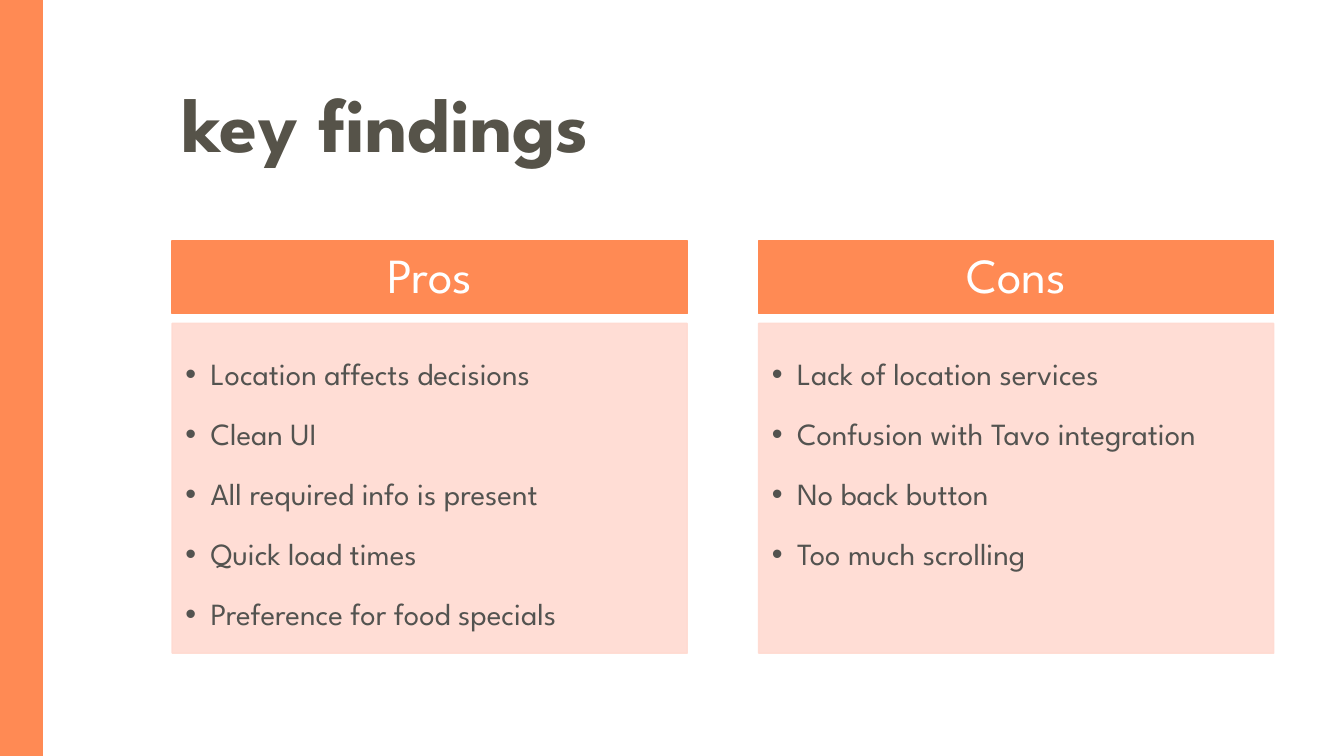
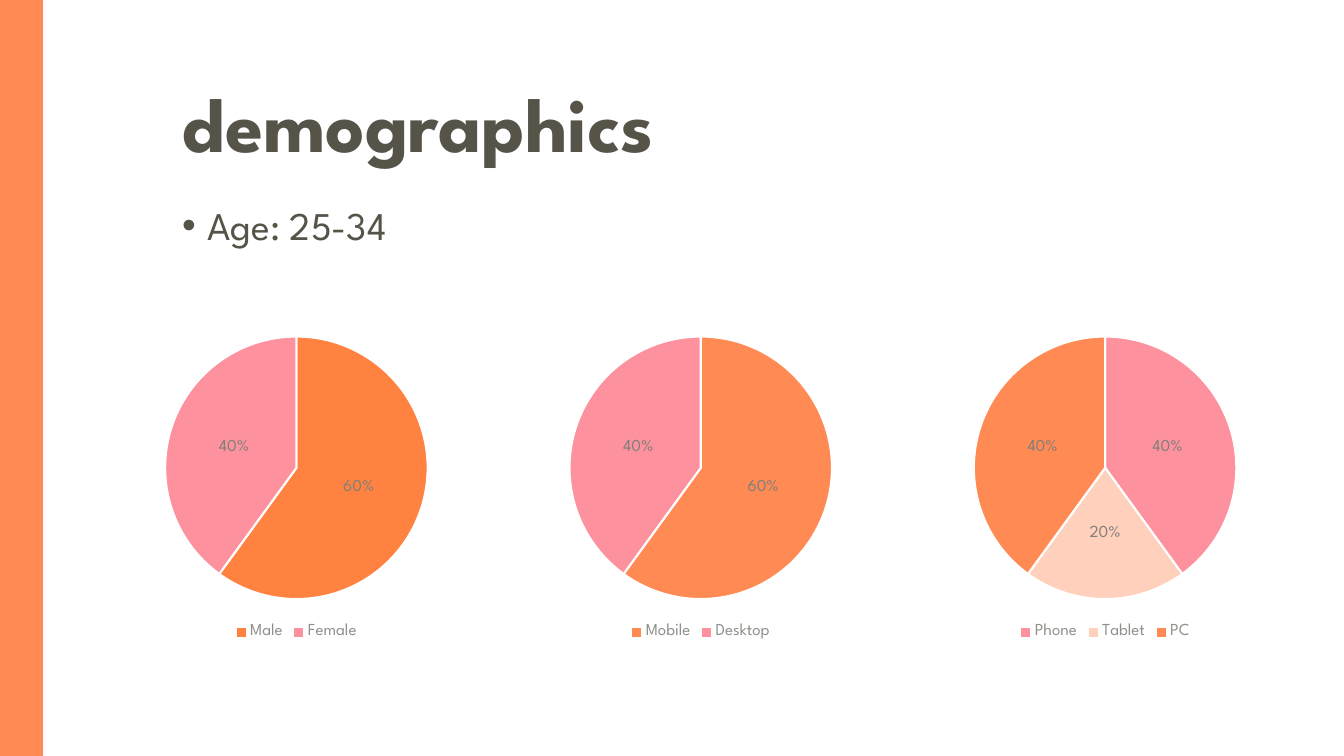
from dataclasses import dataclass

from lxml.etree import SubElement
from pptx import Presentation
from pptx.chart.data import CategoryChartData
from pptx.dml.color import RGBColor
from pptx.enum.chart import XL_CHART_TYPE as Chart
from pptx.enum.chart import XL_LABEL_POSITION as Spot
from pptx.enum.chart import XL_LEGEND_POSITION as Side
from pptx.enum.shapes import MSO_SHAPE as Shape
from pptx.enum.text import MSO_ANCHOR as Anchor
from pptx.enum.text import MSO_AUTO_SIZE as Fit
from pptx.enum.text import PP_ALIGN as Align
from pptx.oxml.ns import qn
from pptx.util import Cm, Pt

FONT = "League Spartan"
ORANGE, DEEP, PINK, PEACH = "FF8A54", "FF8240", "FD919D", "FFD0BB"
BLUSH, WHITE = "FFDAD1", "FFFFFF"
INK, TEXT, LABEL, LEGEND = "565349", "535350", "7F7F7B", "90908C"
WIDE, HIGH = 33.87, 19.05
LEFT, SPAN = 4.34, 27.2


@dataclass
class Box:
    """A place on the slide, in centimetres."""
    left: float
    top: float
    width: float
    height: float

    def cm(self) -> tuple:
        """Return the four lengths for a shape call."""
        return Cm(self.left), Cm(self.top), Cm(self.width), Cm(self.height)


@dataclass
class Panel:
    """A headed list of findings."""
    head: str
    items: list[str]


@dataclass
class Pie:
    """One pie: slice name, percentage and colour."""
    slices: list[tuple[str, int, str]]


PANELS = [
    Panel("Pros", ["Location affects decisions", "Clean UI",
                   "All required info is present", "Quick load times",
                   "Preference for food specials"]),
    Panel("Cons", ["Lack of location services",
                   "Confusion with Tavo integration",
                   "No back button", "Too much scrolling"]),
]
PIES = [
    Pie([("Male", 60, DEEP), ("Female", 40, PINK)]),
    Pie([("Mobile", 60, ORANGE), ("Desktop", 40, PINK)]),
    Pie([("Phone", 40, PINK), ("Tablet", 20, PEACH), ("PC", 40, ORANGE)]),
]


def rgb(code: str) -> RGBColor:
    """Turn a hex string into a colour."""
    return RGBColor.from_string(code)


def style(font, size: float, color: str, bold: bool = False) -> None:
    """Set face, size, colour and weight of a font."""
    font.name, font.size, font.bold = FONT, Pt(size), bold
    font.color.rgb = rgb(color)


def write(para, text: str, size: float, color: str,
          lines: float = 0.9, bold: bool = False) -> None:
    """Add one styled run to a paragraph."""
    para.line_spacing = lines
    run = para.add_run()
    run.text = text
    style(run.font, size, color, bold)


def bullet(para) -> None:
    """Give a paragraph a hanging round bullet."""
    props = para._p.get_or_add_pPr()
    props.set("marL", str(Cm(0.64)))
    props.set("indent", str(-Cm(0.64)))
    SubElement(props, qn("a:buFont"), typeface="Arial")
    SubElement(props, qn("a:buChar"), char="\u2022")


def inset(frame, left: float, top: float, right: float, low: float) -> None:
    """Set the inner margins of a wrapped text frame."""
    frame.word_wrap = True
    frame.margin_left, frame.margin_top = Cm(left), Cm(top)
    frame.margin_right, frame.margin_bottom = Cm(right), Cm(low)


def block(slide, box: Box, color: str, alpha: int = 100):
    """Draw a flat rectangle with a line of its own colour."""
    rect = slide.shapes.add_shape(Shape.RECTANGLE, *box.cm())
    rect.shadow.inherit = False
    rect.fill.solid()
    rect.fill.fore_color.rgb = rgb(color)
    rect.line.color.rgb = rgb(color)
    rect.line.width = Pt(1)
    if alpha < 100:
        for fill in rect._element.spPr.iter(qn("a:solidFill")):
            SubElement(fill[0], qn("a:alpha"), val=str(alpha * 1000))
    return rect


def add_page(deck, title: str):
    """Add a slide with the side band and its title."""
    slide = deck.slides.add_slide(deck.slide_layouts[5])
    block(slide, Box(0, 0, 1.07, HIGH), ORANGE)
    head = slide.shapes.title
    head.left, head.top, head.width, head.height = Box(
        LEFT, 1.37, SPAN, 3.68).cm()
    frame = head.text_frame
    frame.word_wrap, frame.auto_size = True, Fit.NONE
    frame.vertical_anchor = Anchor.MIDDLE
    para = frame.paragraphs[0]
    para.alignment = Align.LEFT
    write(para, title, 55, INK, bold=True)
    return slide


def add_panel(slide, panel: Panel, left: float) -> None:
    """Draw a heading bar with its bulleted list below."""
    width = 12.98
    bar = block(slide, Box(left, 6.07, width, 1.83), ORANGE).text_frame
    inset(bar, 0.69, 0.41, 0.69, 0.41)
    bar.vertical_anchor = Anchor.MIDDLE
    bar.paragraphs[0].alignment = Align.CENTER
    write(bar.paragraphs[0], panel.head, 35, WHITE)

    body = block(slide, Box(left, 8.15, width, 8.31), BLUSH, 90).text_frame
    inset(body, 0.33, 0.33, 0.43, 0.48)
    body.vertical_anchor = Anchor.TOP
    for i, item in enumerate(panel.items):
        para = body.add_paragraph() if i else body.paragraphs[0]
        para.alignment = Align.LEFT
        para.space_after = Pt(3.3)
        write(para, item, 22, TEXT, 1.5)
        bullet(para)


def add_pie(slide, pie: Pie, left: float) -> None:
    """Draw a pie chart with percentages and a legend below."""
    data = CategoryChartData()
    data.categories = [name for name, _, _ in pie.slices]
    data.add_series("Series 1", [share for _, share, _ in pie.slices])
    box = Box(left, 8.13, 12.14, 8.1)
    chart = slide.shapes.add_chart(Chart.PIE, *box.cm(), data).chart
    style(chart.font, 10, TEXT)
    chart.has_title = False
    chart.has_legend = True
    chart.legend.position = Side.BOTTOM
    chart.legend.include_in_layout = False
    style(chart.legend.font, 12, LEGEND)

    plot = chart.plots[0]
    plot.vary_by_categories = True
    for i, (_, _, color) in enumerate(pie.slices):
        form = plot.series[0].points[i].format
        form.fill.solid()
        form.fill.fore_color.rgb = rgb(color)
        form.line.color.rgb = rgb(WHITE)
        form.line.width = Pt(1.5)
    labels = plot.series[0].data_labels
    labels.show_percentage, labels.show_value = True, False
    labels.number_format, labels.number_format_is_linked = "0%", False
    labels.position = Spot.CENTER
    style(labels.font, 12, LABEL)


def add_age(slide) -> None:
    """Add the age line under the title."""
    box = Box(LEFT, 5.08, SPAN, 1.55)
    frame = slide.shapes.add_textbox(*box.cm()).text_frame
    frame.word_wrap = True
    para = frame.paragraphs[0]
    para.space_before = Pt(10)
    write(para, "Age: 25-34", 28, INK)
    bullet(para)


def main() -> None:
    """Build and save the deck."""
    deck = Presentation()
    deck.slide_width, deck.slide_height = Cm(WIDE), Cm(HIGH)

    finds = add_page(deck, "key findings")
    for i, panel in enumerate(PANELS):
        add_panel(finds, panel, LEFT + i * 14.78)

    people = add_page(deck, "demographics")
    for i, pie in enumerate(PIES):
        add_pie(people, pie, 1.4 + i * 10.19)
    add_age(people)

    deck.save("out.pptx")


main()
